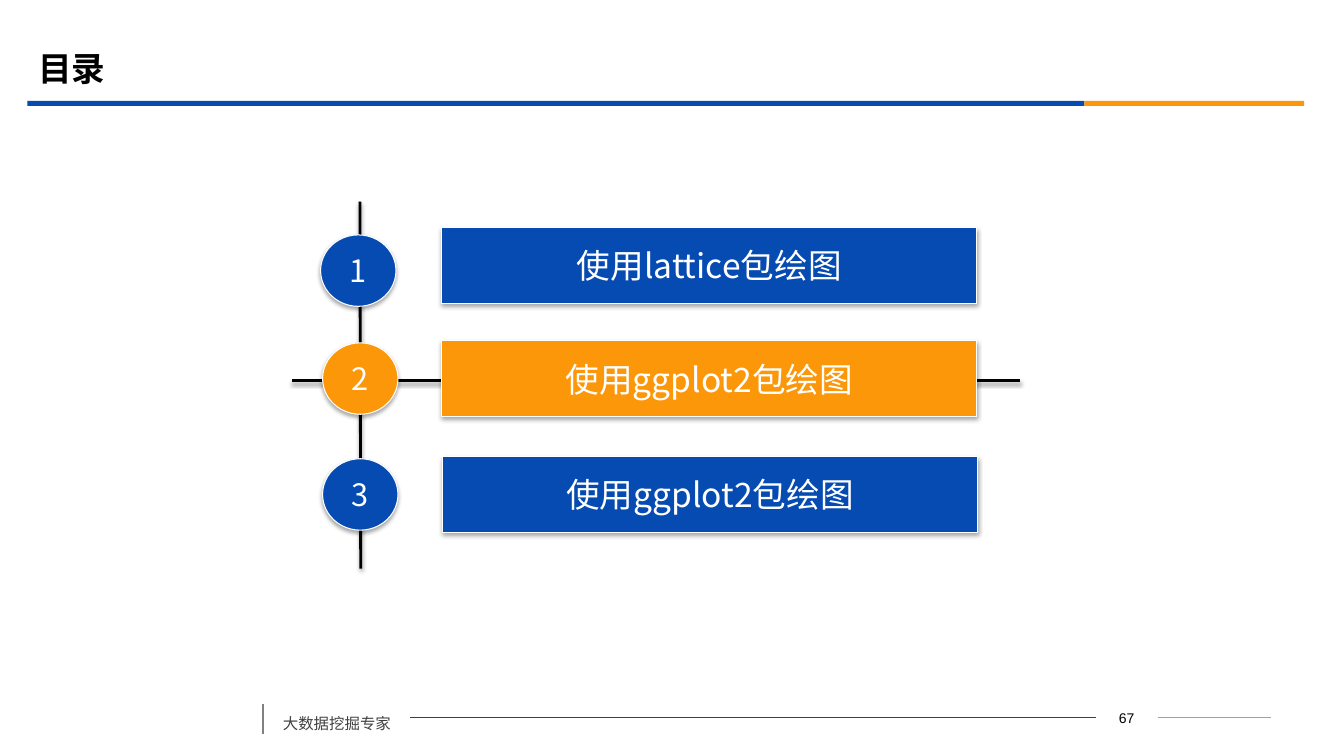
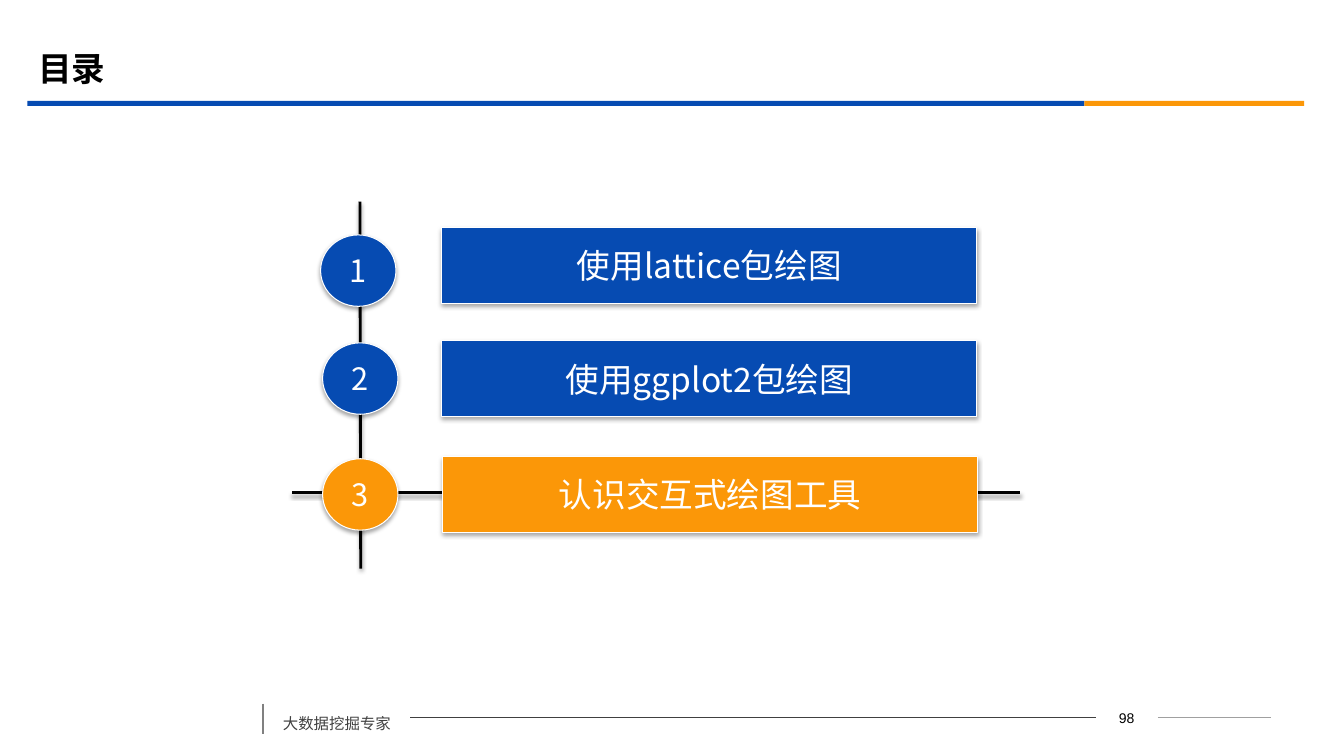
"""Build two agenda slides that highlight the current chapter."""
import pptx
import pptx.dml.color
import pptx.enum.shapes
import pptx.enum.text
import pptx.oxml
import pptx.oxml.ns
import pptx.util

Cm = pptx.util.Cm
Pt = pptx.util.Pt
RGBColor = pptx.dml.color.RGBColor
MSO_SHAPE = pptx.enum.shapes.MSO_SHAPE
PP_ALIGN = pptx.enum.text.PP_ALIGN
MSO_ANCHOR = pptx.enum.text.MSO_ANCHOR
qn = pptx.oxml.ns.qn

BLUE = RGBColor(0x06, 0x4B, 0xB2)
ORANGE = RGBColor(0xFB, 0x97, 0x08)
BLACK = RGBColor(0, 0, 0)
WHITE = RGBColor(0xFF, 0xFF, 0xFF)
DARK_GRAY = RGBColor(0x40, 0x40, 0x40)
MID_GRAY = RGBColor(0x80, 0x80, 0x80)
LIGHT_GRAY = RGBColor(0xA0, 0xA0, 0xA0)
CJK_FONT = "Noto Sans CJK SC"

SHADOW = (
    '<a:outerShdw xmlns:a="http://schemas.openxmlformats.org/drawingml/2006/main"'
    ' blurRad="{blur}" dist="{dist}" dir="5400000" rotWithShape="0">'
    '<a:srgbClr val="000000"><a:alpha val="{alpha}"/></a:srgbClr></a:outerShdw>'
)
SHAPE_SHADOW = SHADOW.format(blur=Pt(3.1), dist=Pt(1.8), alpha=35000)
LINE_SHADOW = SHADOW.format(blur=Pt(3.1), dist=Pt(1.6), alpha=38000)


def write(frame, text, size, color, font=CJK_FONT, bold=False, align=PP_ALIGN.LEFT):
    paragraph = frame.paragraphs[0]
    paragraph.alignment = align
    run = paragraph.add_run()
    run.text = text
    run.font.size = Pt(size)
    run.font.name = font
    run.font.bold = bold
    run.font.color.rgb = color
    east_asian = run._r.get_or_add_rPr().makeelement(qn("a:ea"), {"typeface": font})
    run._r.rPr.find(qn("a:latin")).addnext(east_asian)
    return paragraph


def draw_line(slide, x1, y1, x2, y2, color, width, shadow=None):
    line = slide.shapes.add_connector(
        pptx.enum.shapes.MSO_CONNECTOR.STRAIGHT, Cm(x1), Cm(y1), Cm(x2), Cm(y2))
    line.line.color.rgb = color
    line.line.width = Pt(width)
    properties = line._element.spPr
    effects = properties.makeelement(qn("a:effectLst"), {})
    properties.append(effects)
    if shadow:
        effects.append(pptx.oxml.parse_xml(shadow))


FOOTER_LINES = [
    (29.18, 18.08, 32.03, 18.08, LIGHT_GRAY, 0.75),
    (10.34, 18.08, 27.61, 18.08, DARK_GRAY, 0.75),
    (6.63, 17.73, 6.63, 18.49, MID_GRAY, 1.25),
]
TITLE_BANDS = [(0.69, 26.64, BLUE), (27.33, 5.54, ORANGE)]
CHAPTER_PLACES = [
    (8.08, 5.92, 11.13, 5.74),
    (8.13, 8.64, 11.13, 8.59),
    (8.13, 11.56, 11.15, 11.51),
]
AGENDAS = [
    ("67", 2, 9.58, ["使用lattice包绘图", "使用ggplot2包绘图", "使用ggplot2包绘图"]),
    ("98", 3, 12.42, ["使用lattice包绘图", "使用ggplot2包绘图", "认识交互式绘图工具"]),
]

deck = pptx.Presentation()
deck.slide_width = Cm(33.87)
deck.slide_height = Cm(19.05)

for page, current, marker_y, chapters in AGENDAS:
    slide = deck.slides.add_slide(deck.slide_layouts[6])

    for footer_line in FOOTER_LINES:
        draw_line(slide, *footer_line)
    for left, width, color in TITLE_BANDS:
        band = slide.shapes.add_shape(
            MSO_SHAPE.RECTANGLE, Cm(left), Cm(2.54), Cm(width), Cm(0.13))
        band.fill.solid()
        band.fill.fore_color.rgb = color
        band.line.fill.background()
        band.shadow.inherit = False

    page_number = slide.shapes.add_textbox(Cm(27.61), Cm(17.75), Cm(1.57), Cm(0.64))
    page_number.text_frame.word_wrap = True
    write(page_number.text_frame, page, 10, BLACK, font="Arial", align=PP_ALIGN.CENTER)

    motto = slide.shapes.add_textbox(Cm(6.88), Cm(17.63), Cm(3.45), Cm(0.97))
    motto.text_frame.word_wrap = True
    motto_line = write(motto.text_frame, "大数据挖掘专家", 11, DARK_GRAY)
    motto_line.line_spacing = 1.5
    motto_line.space_before = Pt(6)

    title = slide.shapes.add_textbox(Cm(0.71), Cm(0.99), Cm(30.48), Cm(1.47))
    title.text_frame.word_wrap = True
    title.text_frame.vertical_anchor = MSO_ANCHOR.MIDDLE
    write(title.text_frame, "目录", 24, BLACK, bold=True)

    draw_line(slide, 9.07, 5.08, 9.09, 14.33, BLACK, 2, LINE_SHADOW)
    draw_line(slide, 7.37, marker_y, 25.7, marker_y, BLACK, 2, LINE_SHADOW)

    for number, (chapter, place) in enumerate(zip(chapters, CHAPTER_PLACES), 1):
        disc_x, disc_y, bar_x, bar_y = place
        parts = [
            (MSO_SHAPE.ACTION_BUTTON_CUSTOM, bar_x, bar_y, 13.49, 1.9, chapter, 24),
            (MSO_SHAPE.OVAL, disc_x, disc_y, 1.9, 1.8, str(number), 22),
        ]
        for outline, left, top, width, height, label, size in parts:
            part = slide.shapes.add_shape(
                outline, Cm(left), Cm(top), Cm(width), Cm(height))
            part.fill.solid()
            part.fill.fore_color.rgb = ORANGE if number == current else BLUE
            part.line.color.rgb = WHITE
            part.line.width = Pt(0.75)
            part.shadow.inherit = False
            effects = part._element.spPr.find(qn("a:effectLst"))
            effects.append(pptx.oxml.parse_xml(SHAPE_SHADOW))
            part.text_frame.word_wrap = False
            part.text_frame.vertical_anchor = MSO_ANCHOR.MIDDLE
            write(part.text_frame, label, size, WHITE, align=PP_ALIGN.CENTER)

deck.save("out.pptx")
